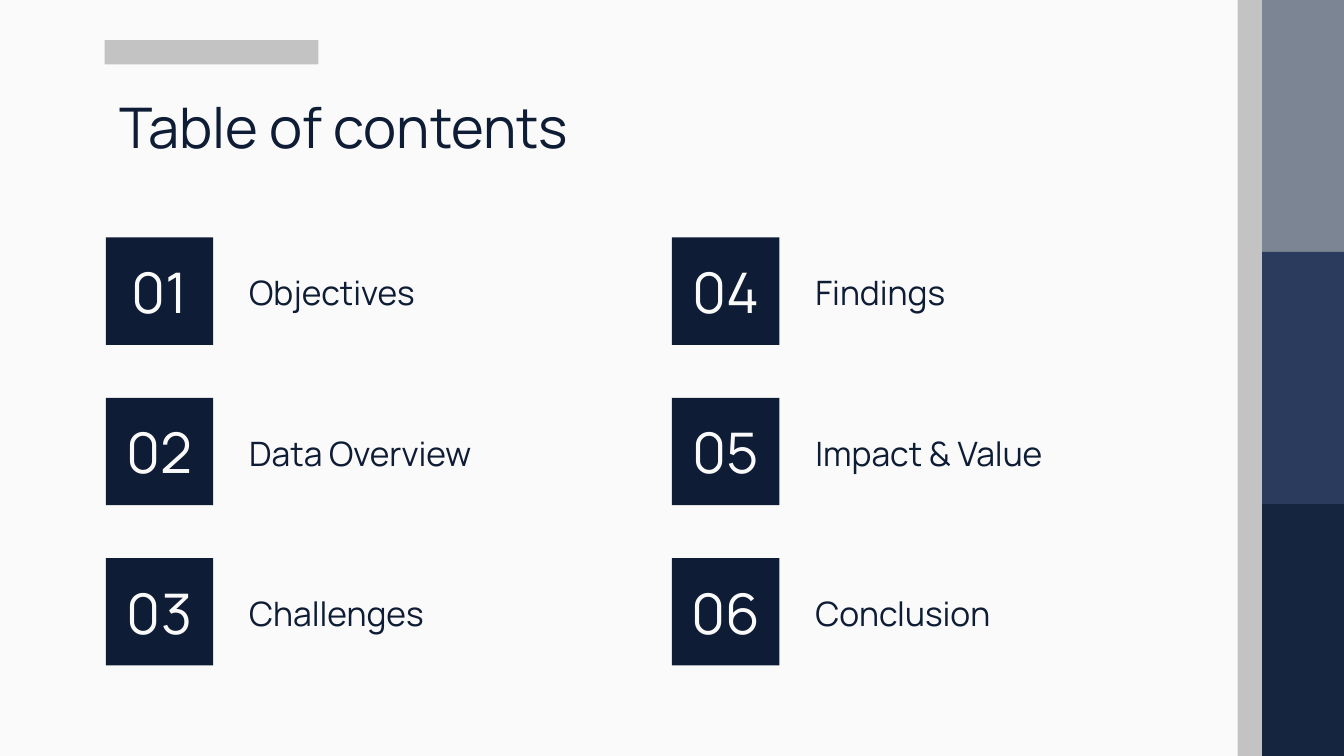
from pptx import Presentation
from pptx.dml.color import RGBColor
from pptx.enum import shapes, text
from pptx.util import Cm, Pt

PAPER = RGBColor(0xFA, 0xFA, 0xFA)
NAVY = RGBColor(0x0E, 0x1D, 0x35)
GREY = RGBColor(0xC3, 0xC3, 0xC3)
SLATE = RGBColor(0x7C, 0x85, 0x94)
BLUE = RGBColor(0x2B, 0x3B, 0x5D)
DARK_BLUE = RGBColor(0x15, 0x25, 0x3F)
WIDTH, HEIGHT = 25.4, 14.29


def add_rect(x, y, w, h, color):
    sp = s.shapes.add_shape(shapes.MSO_SHAPE.RECTANGLE, Cm(x), Cm(y), Cm(w), Cm(h))
    sp.shadow.inherit = False
    sp.fill.solid()
    sp.fill.fore_color.rgb = color
    sp.line.fill.background()
    return sp


def write(sp, words, size, color, align=text.PP_ALIGN.LEFT, anchor=text.MSO_ANCHOR.TOP):
    tf = sp.text_frame
    tf.word_wrap = True
    tf.vertical_anchor = anchor
    tf.margin_left = tf.margin_right = tf.margin_top = tf.margin_bottom = Cm(0.25)
    p = tf.paragraphs[0]
    p.alignment = align
    r = p.add_run()
    r.text = words
    r.font.name = "Manrope"
    r.font.size = Pt(size)
    r.font.color.rgb = color


prs = Presentation()
prs.slide_width, prs.slide_height = Cm(WIDTH), Cm(HEIGHT)
s = prs.slides.add_slide(prs.slide_layouts[6])
s.background.fill.solid()
s.background.fill.fore_color.rgb = PAPER

# Side bands and accent bars
band_x, bar = 23.85, 0.46
band_h = HEIGHT / 3
for i, color in enumerate([SLATE, BLUE, DARK_BLUE]):
    add_rect(band_x, i * band_h, WIDTH - band_x, band_h, color)
add_rect(band_x - bar, 0, bar, HEIGHT, GREY)
add_rect(1.98, 0.76, 4.04, bar, GREY)

title = s.shapes.add_textbox(Cm(2), Cm(1.5), Cm(21.41), Cm(1.6))
write(title, "Table of contents", 30, NAVY)

# Numbered topics, filled down each column
topics = ["Objectives", "Data Overview", "Challenges",
          "Findings", "Impact & Value", "Conclusion"]
rows, tile = 3, 2.03
for i, topic in enumerate(topics):
    col, row = divmod(i, rows)
    x, y = 2 + col * 10.7, 4.49 + row * 3.03
    write(add_rect(x, y, tile, tile, NAVY), f"{i + 1:02}", 30, PAPER,
          text.PP_ALIGN.CENTER, text.MSO_ANCHOR.MIDDLE)
    label = s.shapes.add_textbox(Cm(x + 2.46), Cm(y + 0.41), Cm(7.04), Cm(1.22))
    write(label, topic, 18, NAVY)

prs.save("out.pptx")
